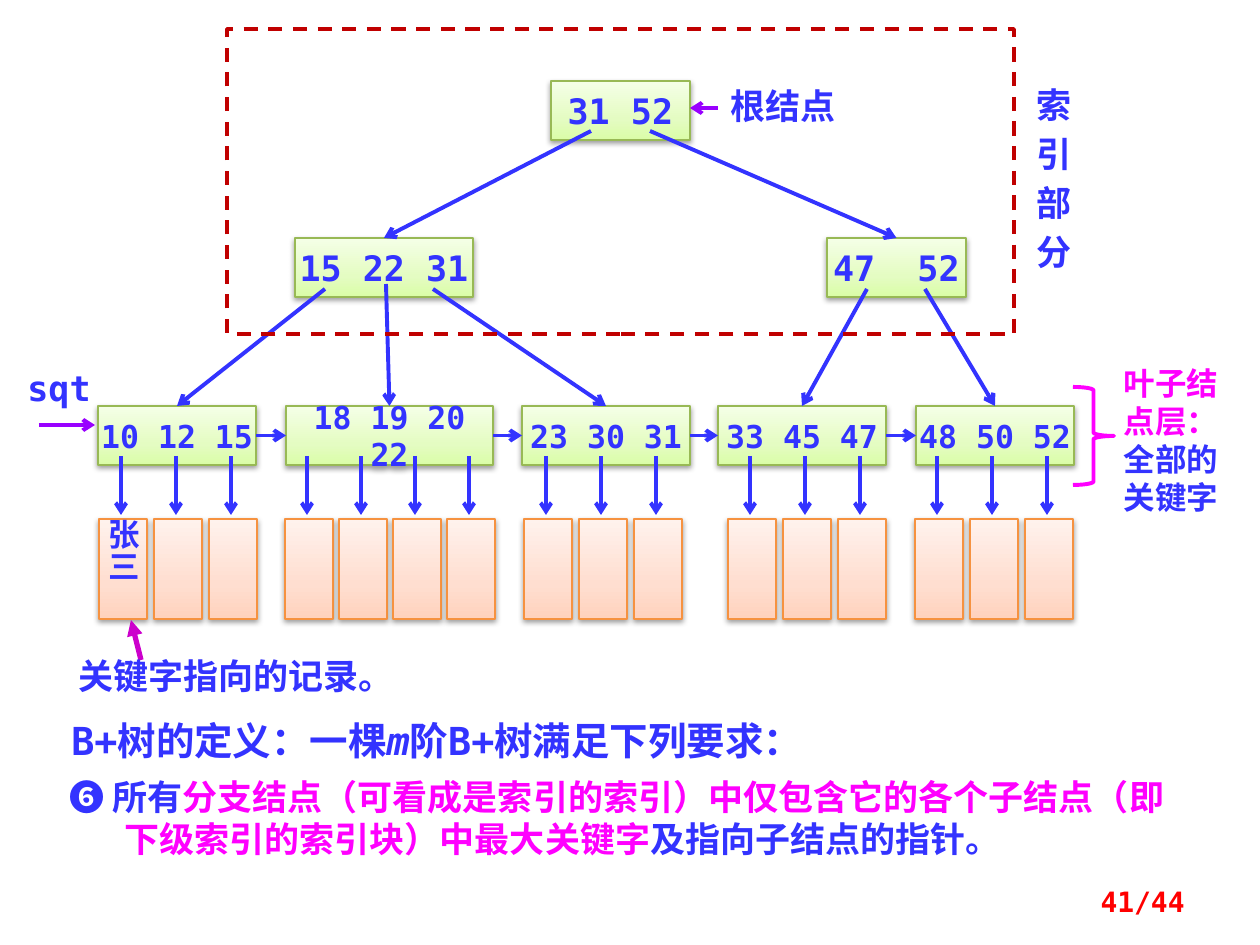
from dataclasses import dataclass
from typing import NamedTuple

from lxml import etree
from pptx import Presentation
from pptx import util as u
from pptx.dml.color import RGBColor
from pptx.enum import dml, shapes, text
from pptx.oxml.ns import qn

SCALE = 914400 / 126
BLUE = RGBColor(0x33, 0x33, 0xFF)
PINK = RGBColor(0xFF, 0x00, 0xFF)
RED = RGBColor(0xFF, 0x00, 0x00)
BRICK = RGBColor(0xC0, 0x00, 0x00)
VIOLET = RGBColor(0x99, 0x00, 0xFF)
PURPLE = RGBColor(0xCC, 0x00, 0xCC)
LIME = RGBColor(0x98, 0xB9, 0x55)
ORANGE = RGBColor(0xF6, 0x92, 0x40)
GREENS = ((0, "DAFDA7"), (35, "E4FCC2"), (100, "F5FFE7"))
PEACHES = ((0, "FFD2BD"), (35, "FFDED0"), (100, "FFF2ED"))
MONO = "DejaVu Sans Mono"
SANS = "Noto Sans CJK SC"
SERIF = "Times New Roman"
LEFT, MID, RIGHT, JUST = (text.PP_ALIGN.LEFT, text.PP_ALIGN.CENTER,
                          text.PP_ALIGN.RIGHT, text.PP_ALIGN.JUSTIFY)


class Box(NamedTuple):
    x: int
    y: int
    w: int
    h: int


class Node(NamedTuple):
    box: Box
    keys: str
    size: int
    pad: int = 0


class Branch(NamedTuple):
    x: int
    y: int
    child: int


class Batch(NamedTuple):
    x: int
    count: int
    step: int = 55


class Part(NamedTuple):
    words: str
    color: RGBColor = BLUE
    font: str | None = None
    slant: bool = False


@dataclass
class Label:
    box: Box
    lines: list[list[Part]]
    size: int
    font: str | None = MONO
    align: text.PP_ALIGN = LEFT
    lead: float | u.Length | None = None
    gap: int = 0
    hang: int = 0
    grow: bool = True


UPPER = [
    Node(Box(551, 81, 139, 59), "31 52", 20, 13),
    Node(Box(295, 238, 178, 59), "15 22 31", 20),
    Node(Box(827, 238, 139, 59), "47  52", 20),
]
LEAVES = [Node(Box(x, 406, w, 59), keys, 18) for x, w, keys in (
    (98, 158, "10 12 15"), (286, 207, "18 19 20 22"), (522, 168, "23 30 31"),
    (718, 168, "33 45 47"), (916, 158, "48 50 52"))]
BRANCHES = [
    Branch(591, 131, 1), Branch(650, 131, 2),
    Branch(325, 289, 3), Branch(386, 284, 4), Branch(433, 289, 5),
    Branch(867, 289, 6), Branch(925, 289, 7),
]
BATCHES = [Batch(99, 3), Batch(285, 4, 54), Batch(524, 3),
           Batch(728, 3), Batch(915, 3)]
LABELS = [
    Label(Box(59, 706, 886, 64),
          [[Part("B+树的定义：一棵"), Part("m", slant=True),
            Part("阶B+树满足下列要求：")]], 22, align=JUST, lead=1.1),
    Label(Box(57, 769, 1144, 97),
          [[Part("❻ 所有"),
            Part("分支结点（可看成是索引的索引）中仅包含它的各个子结点"
                 "（即下级索引的索引块）中最大关键字", PINK),
            Part("及指向子结点的指针。")]], 20, hang=55),
    Label(Box(903, 876, 294, 50), [[Part("41/44", RED)]], 16,
          align=RIGHT, grow=False),
    Label(Box(66, 648, 367, 54), [[Part("关键字指向的记录。")]], 20, SANS),
    Label(Box(1024, 88, 50, 204), [[Part(c)] for c in "索引部分"], 20, SANS,
          lead=u.Pt(18), gap=10),
    Label(Box(718, 78, 147, 55), [[Part("根结点")]], 20, SERIF),
    Label(Box(10, 360, 98, 55), [[Part("sqt")]], 20, align=MID),
    Label(Box(1103, 358, 136, 164),
          [[Part("叶子结点层：", PINK, SERIF),
            Part("全部的关键字", BLUE, SANS)]], 18, None, MID),
]


def px(n: float) -> u.Emu:
    return u.Emu(round(n * SCALE))


def place(box: Box) -> list[u.Emu]:
    return [px(n) for n in box]


def style(para, size: int, font: str | None, color: RGBColor | None) -> None:
    face = para.font
    face.size, face.bold = u.Pt(size), True
    if color is not None:
        face.color.rgb = color
    if font:
        face.name = font
        base = para._p.pPr.find(qn("a:defRPr"))
        etree.SubElement(base, qn("a:ea"), typeface=SANS)


def add_card(tree, box: Box, stops, edge: RGBColor):
    card = tree.add_shape(shapes.MSO_SHAPE.RECTANGLE, *place(box))
    card.fill.gradient()
    card.fill.gradient_angle = 90
    ramp = card._element.spPr.find(".//" + qn("a:gsLst"))
    ramp.clear()
    for pos, tint in stops:
        stop = etree.SubElement(ramp, qn("a:gs"), pos=str(pos * 1000))
        etree.SubElement(stop, qn("a:srgbClr"), val=tint)
    card.line.color.rgb, card.line.width = edge, u.Pt(0.75)
    card.shadow.inherit = False
    fx = card._element.spPr.find(qn("a:effectLst"))
    shade = etree.SubElement(fx, qn("a:outerShdw"), blurRad="40000",
                             dist="20000", dir="5400000", rotWithShape="0")
    tone = etree.SubElement(shade, qn("a:srgbClr"), val="000000")
    etree.SubElement(tone, qn("a:alpha"), val="38000")
    return card


def add_node(tree, node: Node):
    card = add_card(tree, node.box, GREENS, LIME)
    frame = card.text_frame
    frame.word_wrap = True
    frame.margin_left = frame.margin_right = px(node.pad)
    para = frame.paragraphs[0]
    para.text, para.alignment = node.keys, MID
    style(para, node.size, MONO, BLUE)
    return card


def add_arrow(tree, x: int, y: int, to_x: int, to_y: int,
              color: RGBColor = BLUE, width: float = 2.25,
              tip: str = "arrow"):
    arrow = tree.add_connector(shapes.MSO_CONNECTOR.STRAIGHT,
                               px(x), px(y), px(to_x), px(to_y))
    arrow.line.color.rgb, arrow.line.width = color, u.Pt(width)
    etree.SubElement(arrow.line._get_or_add_ln(), qn("a:tailEnd"), type=tip)
    etree.SubElement(arrow._element.spPr, qn("a:effectLst"))
    return arrow


def add_frame(tree, kind, box: Box, color: RGBColor, width: float):
    shape = tree.add_shape(kind, *place(box))
    shape.fill.background()
    shape.line.color.rgb, shape.line.width = color, u.Pt(width)
    shape.shadow.inherit = False
    return shape


def add_label(tree, label: Label) -> None:
    frame = tree.add_textbox(*place(label.box)).text_frame
    frame.word_wrap = True
    if label.grow:
        frame.auto_size = text.MSO_AUTO_SIZE.SHAPE_TO_FIT_TEXT
    else:
        frame.vertical_anchor = text.MSO_ANCHOR.MIDDLE
    for i, parts in enumerate(label.lines):
        para = frame.add_paragraph() if i else frame.paragraphs[0]
        para.alignment, para.line_spacing = label.align, label.lead
        if i:
            para.space_before = u.Pt(label.gap)
        if label.hang:
            props = para._p.get_or_add_pPr()
            props.set("marL", str(px(label.hang)))
            props.set("indent", str(px(-label.hang)))
        same = len({part.color for part in parts}) == 1
        style(para, label.size, label.font, parts[0].color if same else None)
        for part in parts:
            run = para.add_run()
            run.text = part.words
            if not same:
                run.font.color.rgb = part.color
            if part.font:
                run.font.name = part.font
            if part.slant:
                run.font.italic = True


def add_name(card) -> None:
    frame = card.text_frame
    frame.margin_left = frame.margin_right = px(5)
    frame.margin_top = frame.margin_bottom = 0
    frame.vertical_anchor = text.MSO_ANCHOR.TOP
    frame.auto_size = text.MSO_AUTO_SIZE.SHAPE_TO_FIT_TEXT
    frame._txBody.bodyPr.set("vert", "eaVert")
    para = frame.paragraphs[0]
    para.text, para.alignment = "张三", MID
    style(para, 18, SANS, BLUE)


def main() -> None:
    deck = Presentation()
    deck.slide_width, deck.slide_height = px(1260), px(945)
    tree = deck.slides.add_slide(deck.slide_layouts[6]).shapes

    nodes = [add_node(tree, node) for node in UPPER + LEAVES]
    leaves = nodes[len(UPPER):]
    for near, far in zip(leaves, leaves[1:]):
        link = add_arrow(tree, 0, 0, 0, 0)
        link.begin_connect(near, 3)
        link.end_connect(far, 1)
    for x, y, child in BRANCHES:
        add_arrow(tree, x, y, x, y).end_connect(nodes[child], 0)

    cards = []
    for batch in BATCHES:
        for i in range(batch.count):
            x = batch.x + i * batch.step
            add_arrow(tree, x + 22, 456, x + 22, 515)
            cards.append(add_card(tree, Box(x, 519, 48, 100), PEACHES, ORANGE))
    add_name(cards[0])

    add_arrow(tree, 141, 660, 131, 620, PURPLE, 3, "triangle")
    index = add_frame(tree, shapes.MSO_SHAPE.RECTANGLE,
                      Box(227, 29, 787, 305), BRICK, 2)
    index.line.dash_style = dml.MSO_LINE.DASH
    add_arrow(tree, 718, 108, 690, 108, VIOLET)
    add_arrow(tree, 39, 425, 95, 425, VIOLET)
    add_frame(tree, shapes.MSO_SHAPE.RIGHT_BRACE,
              Box(1073, 387, 41, 98), PINK, 2.25)
    for label in LABELS:
        add_label(tree, label)
    deck.save("out.pptx")


if __name__ == "__main__":
    main()
